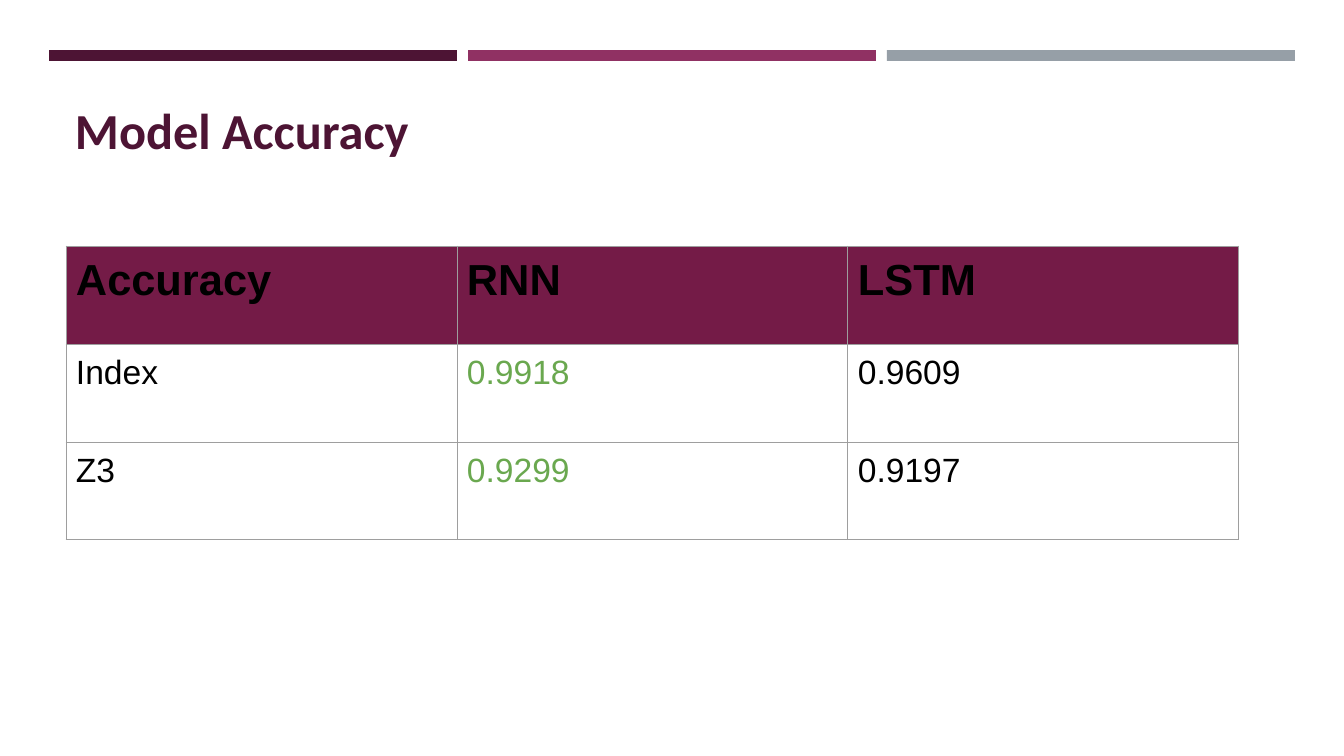
"""Build the Model Accuracy slide with its comparison table."""
from lxml.etree import SubElement
from pptx import Presentation
from pptx.dml.color import RGBColor
from pptx.enum.shapes import MSO_SHAPE
from pptx.oxml.ns import qn
from pptx.util import Pt


def px(n):
    return round(n * 914400 / 100.8)


def style(p, size, color, font, bold):
    f = p.runs[0].font
    f.size, f.name, f.bold = Pt(size), font, bold
    f.color.rgb = RGBColor.from_string(color)


prs = Presentation()
prs.slide_width, prs.slide_height = px(1344), px(756)
s = prs.slides.add_slide(prs.slide_layouts[6])

for i, color in enumerate(["4D1434", "903163", "969FA7"]):
    bar = s.shapes.add_shape(MSO_SHAPE.RECTANGLE, px(49 + 419 * i), px(50), px(408), px(11))
    bar.shadow.inherit = False
    bar.fill.solid()
    bar.fill.fore_color.rgb = RGBColor.from_string(color)
    bar.line.fill.background()

rows = [
    ["Accuracy", "RNN", "LSTM"],
    ["Index", "0.9918", "0.9609"],
    ["Z3", "0.9299", "0.9197"],
]
table = s.shapes.add_table(3, 3, px(66), px(246), px(3 * 391), px(3 * 98)).table
table.horz_banding = False
for col in table.columns:
    col.width = px(391)
for r, values in enumerate(rows):
    table.rows[r].height = px(98)
    for c, value in enumerate(values):
        cell = table.cell(r, c)
        cell.text = value
        cell.margin_left = cell.margin_right = px(10)
        cell.margin_top = cell.margin_bottom = px(10)
        header = r == 0
        color = "6AA84F" if c == 1 and not header else "000000"
        style(cell.text_frame.paragraphs[0], 31 if header else 24, color, "Arial", header)
        tcPr = cell._tc.get_or_add_tcPr()
        for side in ["lnL", "lnR", "lnT", "lnB"]:
            ln = SubElement(tcPr, qn(f"a:{side}"), w=str(Pt(0.75)))
            SubElement(SubElement(ln, qn("a:solidFill")), qn("a:srgbClr"), val="9E9E9E")
        if header:
            cell.fill.solid()
            cell.fill.fore_color.rgb = RGBColor.from_string("741B47")
        else:
            cell.fill.background()

title = s.shapes.add_textbox(px(65), px(89), px(614), px(82))
tf = title.text_frame
tf.word_wrap = True
tf.margin_left = tf.margin_right = tf.margin_top = tf.margin_bottom = px(10)
tf.text = "Model Accuracy"
style(tf.paragraphs[0], 36, "4D1434", "Calibri", True)

prs.save("out.pptx")
